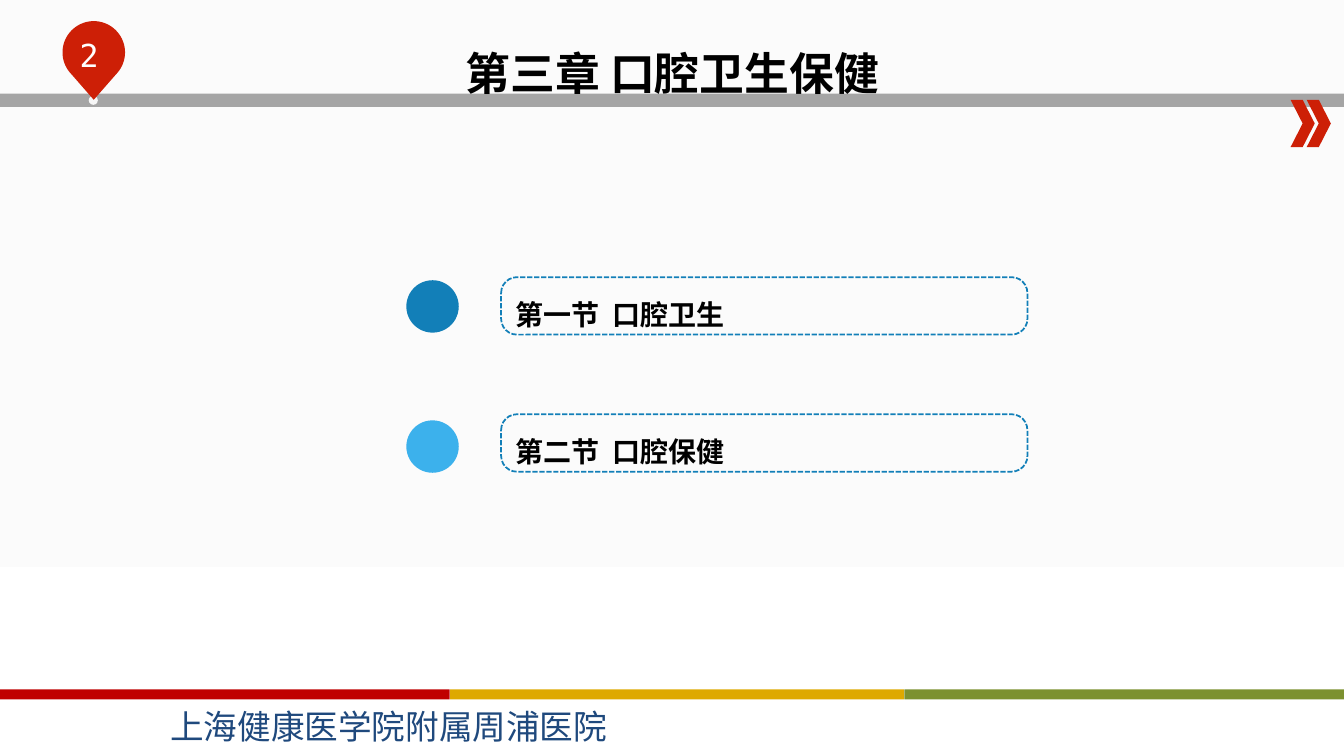
import math
from dataclasses import dataclass

from lxml import etree
from pptx import Presentation
from pptx.dml.color import RGBColor
from pptx.enum.dml import MSO_LINE
from pptx.enum.shapes import MSO_SHAPE
from pptx.enum.text import MSO_ANCHOR, PP_ALIGN
from pptx.oxml.ns import qn
from pptx.shapes.autoshape import Shape
from pptx.slide import Slide
from pptx.util import Inches, Pt

RECTANGLE = MSO_SHAPE.RECTANGLE
ELLIPSE = MSO_SHAPE.OVAL
CHEVRON = MSO_SHAPE.CHEVRON
ROUNDED = MSO_SHAPE.ROUNDED_RECTANGLE
DASH = MSO_LINE.SQUARE_DOT
TOP = MSO_ANCHOR.TOP
MIDDLE = MSO_ANCHOR.MIDDLE
LEFT = PP_ALIGN.LEFT
CENTER = PP_ALIGN.CENTER

PAPER = RGBColor(0xFB, 0xFB, 0xFB)
WHITE = RGBColor(0xFF, 0xFF, 0xFF)
BLACK = RGBColor(0, 0, 0)
GREY = RGBColor(0xA5, 0xA5, 0xA5)
PALE_GREY = RGBColor(0xF6, 0xF6, 0xF6)
RED = RGBColor(0xCD, 0x1F, 0x06)
DARK_RED = RGBColor(0xC0, 0, 0)
GOLD = RGBColor(0xDE, 0xA9, 0)
GREEN = RGBColor(0x7C, 0x91, 0x2F)
NAVY = RGBColor(0x1F, 0x49, 0x7D)
BLUE = RGBColor(0x12, 0x7F, 0xB8)
SKY = RGBColor(0x3C, 0xB1, 0xEC)

CJK_FONT = "Noto Sans CJK SC"
NUMBER_FONT = "DejaVu Sans Mono"
SECTION_FONT = "Times New Roman"


@dataclass(frozen=True)
class Box:
    left: float
    top: float
    width: float
    height: float

    def lengths(self) -> list[int]:
        return [Inches(v) for v in (self.left, self.top, self.width, self.height)]


@dataclass(frozen=True)
class TextStyle:
    font: str
    size: float
    color: RGBColor
    bold: bool = False
    align: PP_ALIGN = LEFT
    line_spacing: float = 1.0


@dataclass(frozen=True)
class Section:
    title: str
    color: RGBColor
    dot_top: float
    box_top: float


TITLE = TextStyle(CJK_FONT, 32, BLACK, True, CENTER)
PAGE_NUMBER = TextStyle(NUMBER_FONT, 22.6, WHITE, align=CENTER)
FOOTER = TextStyle(CJK_FONT, 24, NAVY)
SECTION_TITLE = TextStyle(SECTION_FONT, 20, BLACK, True, line_spacing=1.5)

SECTIONS = (
    Section("第一节  口腔卫生", BLUE, 2.78, 2.75),
    Section("第二节  口腔保健", SKY, 4.17, 4.11),
)


def paint(shape: Shape, color: RGBColor) -> None:
    shape.shadow.inherit = False
    shape.fill.solid()
    shape.fill.fore_color.rgb = color
    shape.line.fill.background()


def add_filled(slide: Slide, kind: MSO_SHAPE, box: Box, color: RGBColor) -> Shape:
    shape = slide.shapes.add_shape(kind, *box.lengths())
    paint(shape, color)
    return shape


def write(shape: Shape, text: str, style: TextStyle, anchor: MSO_ANCHOR = TOP,
          wrap: bool = True) -> None:
    frame = shape.text_frame
    frame.word_wrap = wrap
    frame.vertical_anchor = anchor
    paragraph = frame.paragraphs[0]
    paragraph.alignment = style.align
    paragraph.line_spacing = style.line_spacing
    run = paragraph.add_run()
    run.text = text
    run.font.name = style.font
    run.font.size = Pt(style.size)
    run.font.bold = style.bold
    run.font.color.rgb = style.color
    east_asian = etree.SubElement(run.font._element, qn("a:ea"))
    east_asian.set("typeface", CJK_FONT)


def add_text(slide: Slide, box: Box, text: str, style: TextStyle, wrap: bool = True) -> None:
    write(slide.shapes.add_textbox(*box.lengths()), text, style, wrap=wrap)


def add_pin(slide: Slide) -> None:
    center_x, center_y, radius, tip_y = 0.93, 0.52, 0.31, 0.99
    arc = [
        (Inches(center_x + radius * math.cos(math.radians(angle))),
         Inches(center_y + radius * math.sin(math.radians(angle))))
        for angle in range(135, 406, 5)
    ]
    builder = slide.shapes.build_freeform(Inches(center_x), Inches(tip_y))
    builder.add_line_segments(arc, close=True)
    paint(builder.convert_to_shape(), RED)


def add_section(slide: Slide, section: Section) -> None:
    add_filled(slide, ELLIPSE, Box(4.03, section.dot_top, 0.52, 0.52), section.color)
    frame = slide.shapes.add_shape(ROUNDED, *Box(4.97, section.box_top, 5.22, 0.57).lengths())
    frame.adjustments[0] = 0.275
    frame.shadow.inherit = False
    frame.fill.background()
    frame.line.color.rgb = BLUE
    frame.line.width = Pt(1.25)
    frame.line.dash_style = DASH
    write(frame, section.title, SECTION_TITLE, MIDDLE)


def set_background(slide: Slide) -> None:
    fill = slide.background.fill
    fill.gradient()
    fill.gradient_angle = 270
    for stop, position, color in zip(fill.gradient_stops, (0.5, 1), (PAPER, WHITE)):
        stop.position = position
        stop.color.rgb = color


def main() -> None:
    presentation = Presentation()
    presentation.slide_width = Inches(13.33)
    presentation.slide_height = Inches(7.5)
    slide = presentation.slides.add_slide(presentation.slide_layouts[6])
    set_background(slide)

    add_filled(slide, RECTANGLE, Box(0, 0.93, 13.33, 0.13), GREY)
    for left in (12.8, 12.96):
        add_filled(slide, CHEVRON, Box(left, 0.99, 0.24, 0.47), RED)
    add_filled(slide, ELLIPSE, Box(0.88, 0.95, 0.09, 0.09), PALE_GREY)
    add_pin(slide)
    add_text(slide, Box(0.45, 0.31, 0.87, 0.41), "2", PAGE_NUMBER)

    for index, color in enumerate((DARK_RED, GOLD, GREEN)):
        add_filled(slide, RECTANGLE, Box(-0.04 + 4.505 * index, 6.84, 4.5, 0.1), color)
    add_text(slide, Box(1.59, 6.95, 4.53, 0.5), "上海健康医学院附属周浦医院", FOOTER, wrap=False)

    add_text(slide, Box(0.92, 0.4, 11.5, 1.45), "第三章 口腔卫生保健", TITLE)
    for section in SECTIONS:
        add_section(slide, section)

    presentation.save("out.pptx")


if __name__ == "__main__":
    main()
